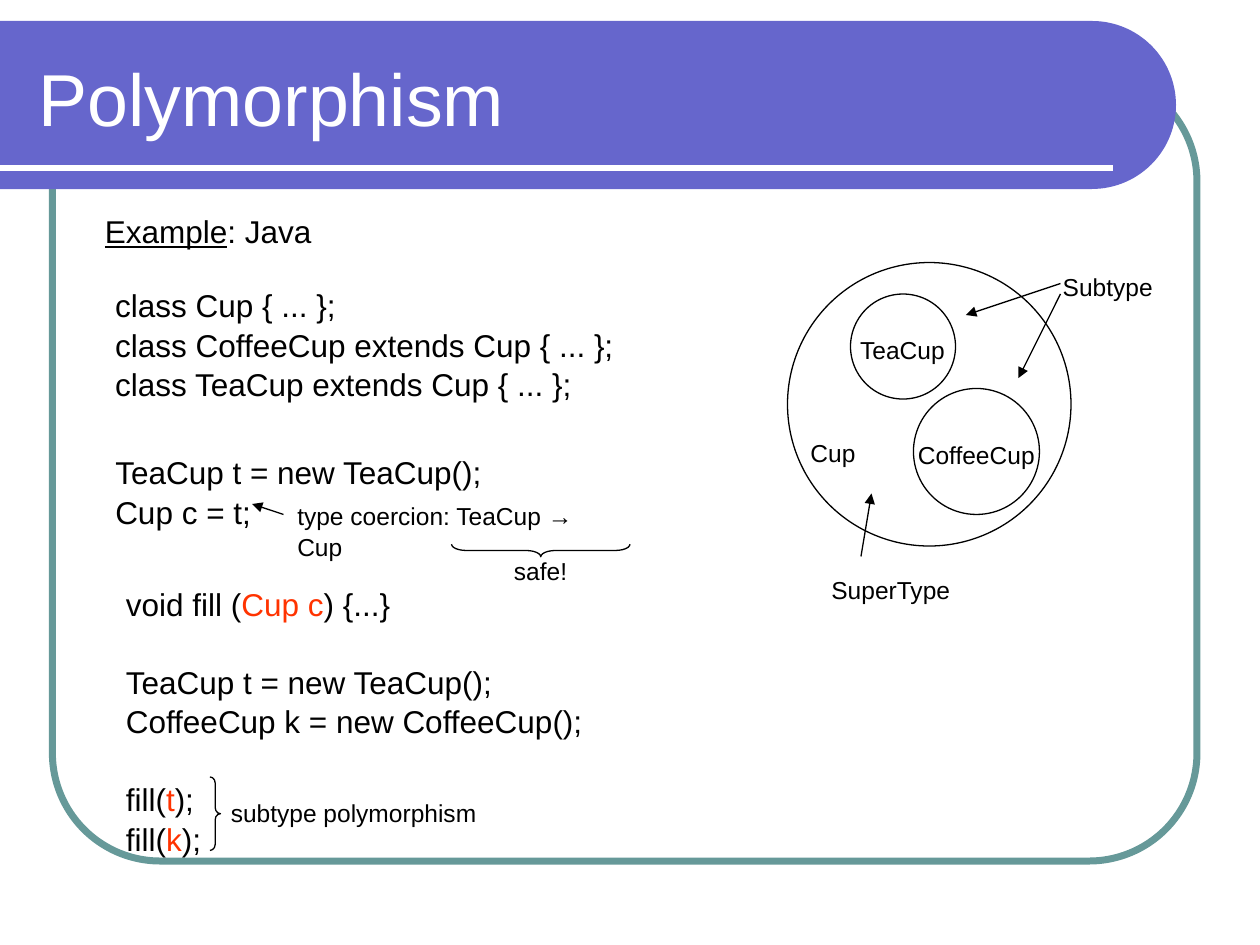
import math
from dataclasses import dataclass

import lxml.etree
import pptx
import pptx.dml.color
import pptx.enum.shapes
import pptx.enum.text
import pptx.oxml.ns
import pptx.util

Pt = pptx.util.Pt
SHAPE = pptx.enum.shapes.MSO_SHAPE
ANCHOR = pptx.enum.text.MSO_ANCHOR


@dataclass(frozen=True)
class Theme:
    font: str = "Arial"
    ink: str = "000000"
    accent: str = "FF3300"
    band: str = "6666CC"
    frame: str = "669999"
    white: str = "FFFFFF"
    title: float = 42
    code: float = 18
    label: float = 14
    spacing: float = 1.05
    blank_line: float = 21.6
    thin: float = 0.75


T = Theme()
RED = {"color": T.accent}
UNDERLINED = {"underline": True}


def rgb(value):
    return pptx.dml.color.RGBColor.from_string(value)


def add_text(s, box, paragraphs, size, color=T.ink, anchor=ANCHOR.TOP, gaps=()):
    sp = s.shapes.add_textbox(*map(Pt, box))
    tf = sp.text_frame
    for name, value in {"word_wrap": True, "vertical_anchor": anchor}.items():
        setattr(tf, name, value)
    for i, runs in enumerate(paragraphs):
        p = tf.paragraphs[0] if i == 0 else tf.add_paragraph()
        p.line_spacing = T.spacing
        if i in gaps:
            p.space_before = Pt(T.blank_line)
        for run in [runs] if isinstance(runs, str) else runs:
            text, style = (run, {}) if isinstance(run, str) else run
            formats = {"name": T.font, "size": Pt(size), "color": color, **style}
            r = p.add_run()
            r.text = text
            r.font.color.rgb = rgb(formats.pop("color"))
            for name, value in formats.items():
                setattr(r.font, name, value)
    return sp


def add_outline(s, kind, box, color=T.ink, width=T.thin, adjustments=(), rotation=0):
    sp = s.shapes.add_shape(kind, *map(Pt, box))
    for i, value in enumerate(adjustments):
        sp.adjustments[i] = value
    sp.rotation = rotation
    sp.shadow.inherit = False
    sp.fill.background()
    sp.line.color.rgb = rgb(color)
    sp.line.width = Pt(width)
    return sp


def add_line(s, start, end, color=T.ink, width=T.thin, arrow=True):
    straight = pptx.enum.shapes.MSO_CONNECTOR.STRAIGHT
    sp = s.shapes.add_connector(straight, *map(Pt, start + end))
    sp.line.color.rgb = rgb(color)
    sp.line.width = Pt(width)
    qn = pptx.oxml.ns.qn
    if arrow:
        ln = sp.line._get_or_add_ln()
        lxml.etree.SubElement(ln, qn("a:tailEnd"), type="triangle")
    lxml.etree.SubElement(sp._element.spPr, qn("a:effectLst"))
    return sp


def add_band(s, top, right, height):
    radius = height / 2
    steps = 60
    angles = [math.pi * (i / steps - 0.5) for i in range(steps + 1)]
    arc = [
        (Pt(right - radius + radius * math.cos(a)), Pt(top + radius + radius * math.sin(a)))
        for a in angles
    ]
    builder = s.shapes.build_freeform(0, Pt(top), scale=1.0)
    builder.add_line_segments(arc + [(0, Pt(top + height))], close=True)
    sp = builder.convert_to_shape()
    sp.shadow.inherit = False
    sp.fill.solid()
    sp.fill.fore_color.rgb = rgb(T.band)
    sp.line.fill.background()


def add_header(s):
    add_outline(s, SHAPE.ROUNDED_RECTANGLE, (30, 42, 654, 450), T.frame, 4, (0.137,))
    add_band(s, 12, 672, 96)
    add_line(s, (0, 96), (636, 96), T.white, 3, arrow=False)
    add_text(s, (15, 18, 631, 72), ["Polymorphism"], T.title, T.white, ANCHOR.MIDDLE)


def add_code(s):
    add_text(s, (52.8, 116.6, 140, 28.8), [[("Example", UNDERLINED), ": Java"]], T.code)
    add_text(s, (58.8, 158.8, 310, 72), [
        "class Cup { ... };",
        "class CoffeeCup extends Cup { ... };",
        "class TeaCup extends Cup { ... };",
    ], T.code)
    add_text(s, (58.8, 254.2, 240, 50.4), [
        "TeaCup t = new TeaCup();",
        "Cup c = t;",
    ], T.code)
    add_text(s, (64.8, 329.8, 290, 158.4), [
        ["void fill (", ("Cup c", RED), ") {...}"],
        "TeaCup t = new TeaCup();",
        "CoffeeCup k = new CoffeeCup();",
        ["fill(", ("t", RED), ");"],
        ["fill(", ("k", RED), ");"],
    ], T.code, gaps=(1, 3))


def add_type_sets(s):
    for left, top, size in ((450, 150, 162), (486, 168, 60), (522, 222, 72)):
        add_outline(s, SHAPE.OVAL, (left, top, size, size))
    arrows = (
        ((606, 162), (552, 180)),
        ((606, 168), (582, 216)),
        ((492, 318), (498, 282)),
        ((162, 294), (144, 288)),
    )
    for start, end in arrows:
        add_line(s, start, end)


def add_labels(s):
    labels = (
        ("TeaCup", 484.4, 187.2, 70),
        ("CoffeeCup", 517.4, 247.2, 88),
        ("Cup", 456, 246.2, 46),
        ("SuperType", 468, 324, 90),
        ("Subtype", 600.2, 151.2, 72),
        ("subtype polymorphism", 124.8, 451.4, 164),
        ("type coercion: TeaCup → Cup", 162.8, 282.2, 198),
        ("safe!", 286.6, 313.2, 50),
    )
    for text, left, top, width in labels:
        add_text(s, (left, top, width, 24.5), [text], T.label)
    add_outline(s, SHAPE.RIGHT_BRACE, (120, 444, 6, 42), adjustments=(0.58, 0.5))
    add_outline(
        s, SHAPE.RIGHT_BRACE, (305.4, 263.6, 7.2, 102), adjustments=(1.18, 0.5), rotation=90
    )


def main():
    prs = pptx.Presentation()
    prs.slide_width, prs.slide_height = Pt(720), Pt(540)
    s = prs.slides.add_slide(prs.slide_layouts[6])
    add_header(s)
    add_code(s)
    add_type_sets(s)
    add_labels(s)
    prs.save("out.pptx")


if __name__ == "__main__":
    main()
